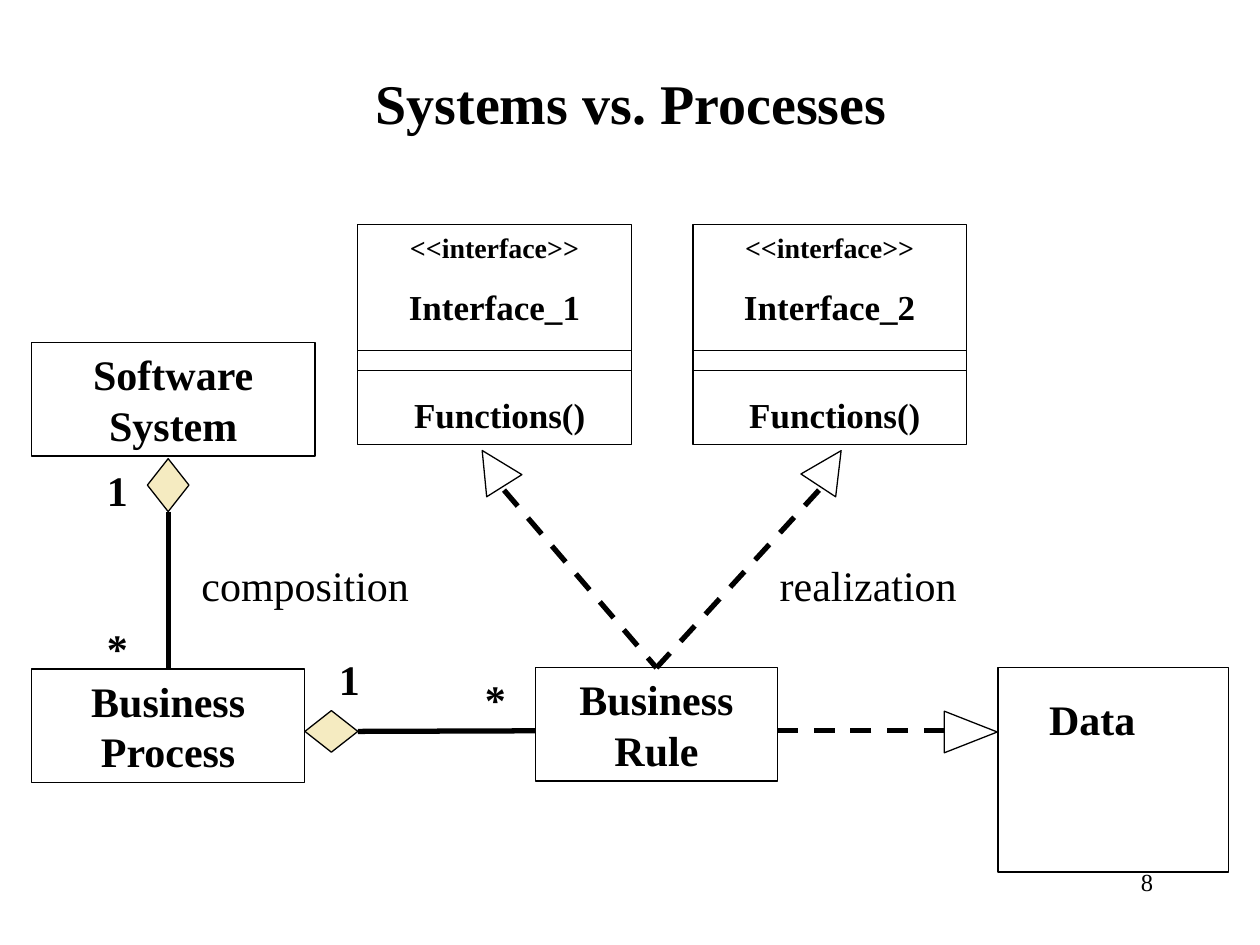
from dataclasses import dataclass

from lxml import etree
from pptx import Presentation
from pptx.dml.color import RGBColor
from pptx.enum.dml import MSO_LINE
from pptx.enum.shapes import MSO_CONNECTOR, MSO_SHAPE
from pptx.enum.text import MSO_ANCHOR, PP_ALIGN
from pptx.oxml.ns import qn
from pptx.util import Inches, Pt

LEFT, CENTER, RIGHT = PP_ALIGN.LEFT, PP_ALIGN.CENTER, PP_ALIGN.RIGHT
TOP, MIDDLE = MSO_ANCHOR.TOP, MSO_ANCHOR.MIDDLE
RECT, DIAMOND = MSO_SHAPE.RECTANGLE, MSO_SHAPE.DIAMOND
TRIANGLE = MSO_SHAPE.ISOSCELES_TRIANGLE
STRAIGHT, DASH = MSO_CONNECTOR.STRAIGHT, MSO_LINE.DASH
SIDE_TOP, SIDE_BOTTOM, SIDE_RIGHT = 0, 2, 3


@dataclass(frozen=True)
class Theme:
    font: str = "Times New Roman"
    ink: RGBColor = RGBColor(0x00, 0x00, 0x00)
    diamond: RGBColor = RGBColor(0xF5, 0xEB, 0xC1)
    title: int = 32
    body: int = 24
    member: int = 20
    stereotype: int = 16
    number: int = 14
    thin: float = 0.75
    thick: float = 3


def write(p, text, theme, size, bold=False, align=LEFT, before=None, indent=None):
    """Put one formatted run of text in a paragraph."""
    p.alignment = align
    if before is not None:
        p.space_before = Pt(before)
    if indent is not None:
        p._p.get_or_add_pPr().set("marL", str(Pt(indent)))
    r = p.add_run()
    r.text = text
    r.font.name, r.font.size, r.font.bold = theme.font, Pt(size), bold
    r.font.color.rgb = theme.ink


class Diagram:
    def __init__(self, slide, theme):
        self.s, self.theme = slide, theme

    def label(self, text, x, y, w, h, size=None, anchor=TOP, **fmt):
        tb = self.s.shapes.add_textbox(Inches(x), Inches(y), Inches(w), Inches(h))
        tf = tb.text_frame
        tf.word_wrap, tf.vertical_anchor = True, anchor
        write(tf.paragraphs[0], text, self.theme, size or self.theme.body, **fmt)

    def shape(self, kind, x, y, w, h, fill=None, rotation=0):
        sp = self.s.shapes.add_shape(kind, Inches(x), Inches(y), Inches(w), Inches(h))
        sp.shadow.inherit = False
        sp.rotation = rotation
        if fill is None:
            sp.fill.background()
        else:
            sp.fill.solid()
            sp.fill.fore_color.rgb = fill
        sp.line.color.rgb, sp.line.width = self.theme.ink, Pt(self.theme.thin)
        return sp

    def box(self, text, x, y, w, h, top=0.05, right=0.1):
        sp = self.shape(RECT, x, y, w, h)
        tf = sp.text_frame
        tf.word_wrap, tf.vertical_anchor = True, TOP
        tf.margin_top, tf.margin_right = Inches(top), Inches(right)
        if text:
            write(tf.paragraphs[0], text, self.theme, self.theme.body,
                  bold=True, align=CENTER)
        return sp

    def line(self, x1, y1, x2, y2, width=None, dash=None, begin=None, end=None):
        """begin and end are (shape, side) pairs to join."""
        cn = self.s.shapes.add_connector(
            STRAIGHT, Inches(x1), Inches(y1), Inches(x2), Inches(y2))
        cn.line.color.rgb = self.theme.ink
        cn.line.width = Pt(width or self.theme.thick)
        if dash:
            cn.line.dash_style = dash
        etree.SubElement(cn._element.spPr, qn("a:effectLst"))
        if begin:
            cn.begin_connect(*begin)
        if end:
            cn.end_connect(*end)

    def interface(self, name, x, y=1.78, w=2.17, h=1.75):
        t = self.theme
        tf = self.box("", x, y, w, h).text_frame
        rows = [("<<interface>>", t.stereotype, None, None),
                (name, t.member, 12.5, None),
                ("Functions()", t.member, 37.5, 6)]
        for i, (text, size, before, indent) in enumerate(rows):
            p = tf.add_paragraph() if i else tf.paragraphs[0]
            write(p, text, t, size, bold=True, align=CENTER,
                  before=before, indent=indent)
        for offset in (1, 1.16):
            self.line(x, y + offset, x + w, y + offset, width=t.thin)


def main():
    prs = Presentation()
    prs.slide_width, prs.slide_height = Inches(10), Inches(7.5)
    theme = Theme()
    d = Diagram(prs.slides.add_slide(prs.slide_layouts[6]), theme)

    # Title and slide number
    d.label("Systems vs. Processes", 0.76, 0.52, 8.5, 0.58, size=theme.title,
            anchor=MIDDLE, bold=True, align=CENTER)
    d.label("8", 7.17, 6.83, 2.08, 0.5, size=theme.number, align=RIGHT)

    # Classes
    d.box("Software System", 0.25, 2.72, 2.25, 0.9)
    process = d.box("Business Process", 0.25, 5.31, 2.17, 0.9)
    rule = d.box("Business Rule", 4.25, 5.3, 1.92, 0.9)
    d.box("Data", 7.92, 5.3, 1.83, 1.62, top=0.2, right=0.43)
    d.interface("Interface_1", 2.84)
    d.interface("Interface_2", 5.5)

    # Compositions
    system_end = d.shape(DIAMOND, 1.17, 3.64, 0.33, 0.42, fill=theme.diamond)
    d.line(1.34, 4.06, 1.34, 5.31, begin=(system_end, SIDE_BOTTOM),
           end=(process, SIDE_TOP))
    process_end = d.shape(DIAMOND, 2.42, 5.64, 0.42, 0.33, fill=theme.diamond)
    d.line(2.84, 5.8, 4.25, 5.8, begin=(process_end, SIDE_RIGHT))

    # Realizations
    for x, angle, line_x in ((3.75, 327.9, 4), (6.42, 33.3, 6.5)):
        d.shape(TRIANGLE, x, 3.55, 0.33, 0.33, rotation=angle)
        d.line(line_x, 3.89, 5.25, 5.3, dash=DASH, end=(rule, SIDE_TOP))
    d.line(7.5, 5.8, 6.17, 5.8, dash=DASH)
    d.shape(TRIANGLE, 7.54, 5.6, 0.33, 0.42, rotation=90)

    # Multiplicities and relation names
    for text, x, y in (("1", 0.75, 3.64), ("*", 0.75, 4.89),
                       ("1", 2.59, 5.14), ("*", 3.75, 5.3)):
        d.label(text, x, y, 0.42, 0.5, bold=True)
    d.label("composition", 1.5, 4.39, 2.08, 0.5)
    d.label("realization", 6.09, 4.39, 1.83, 0.5)

    prs.save("out.pptx")


if __name__ == "__main__":
    main()
